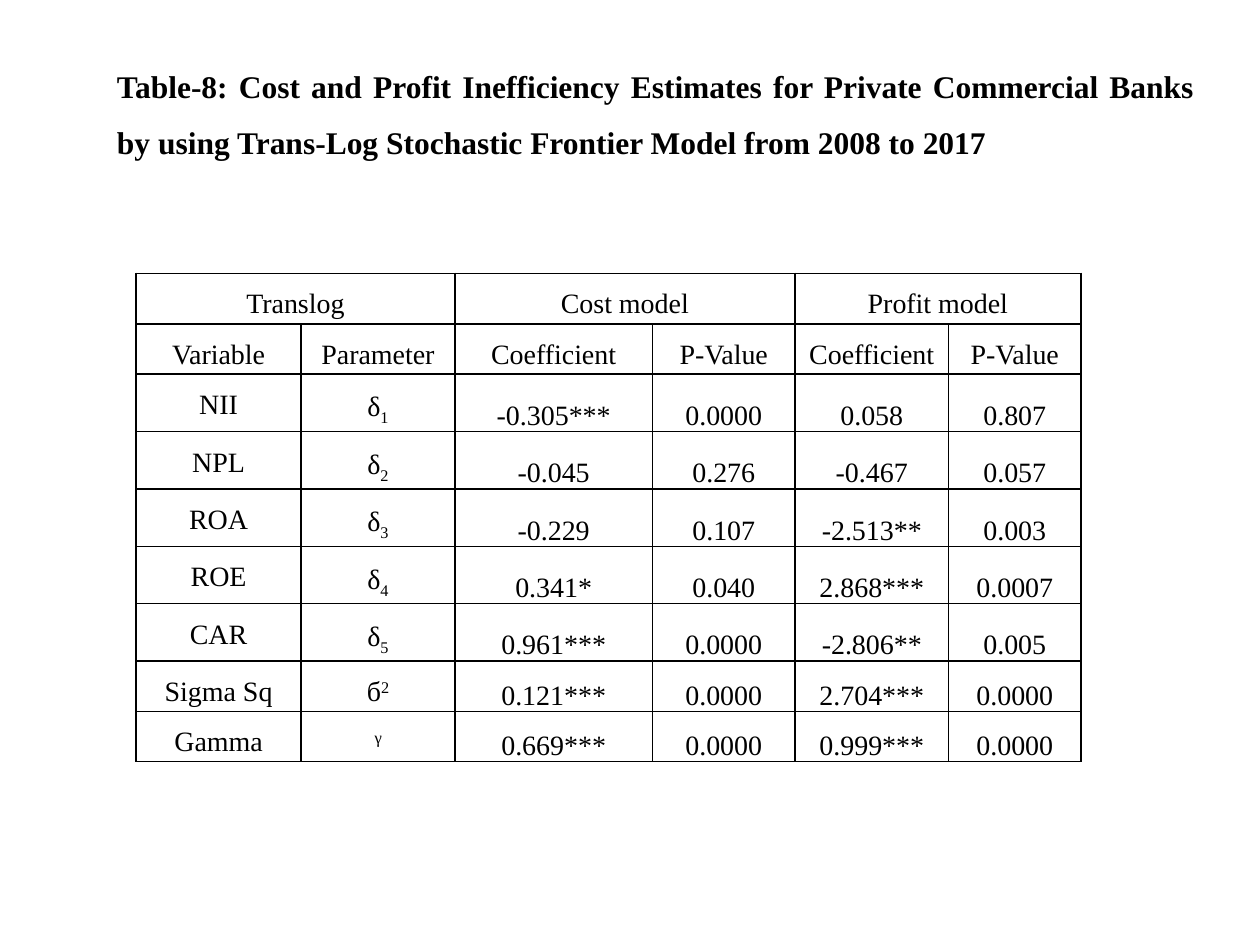
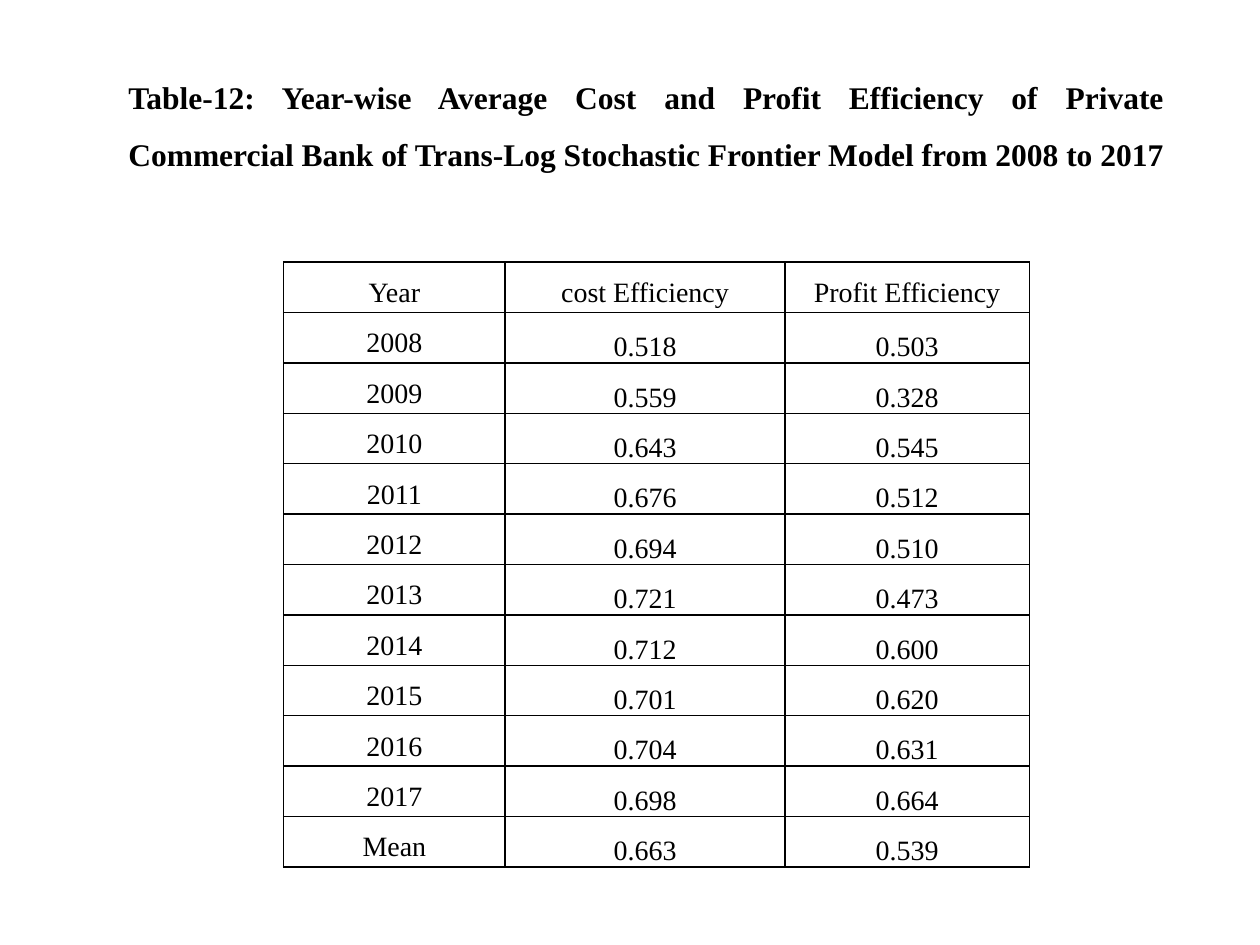
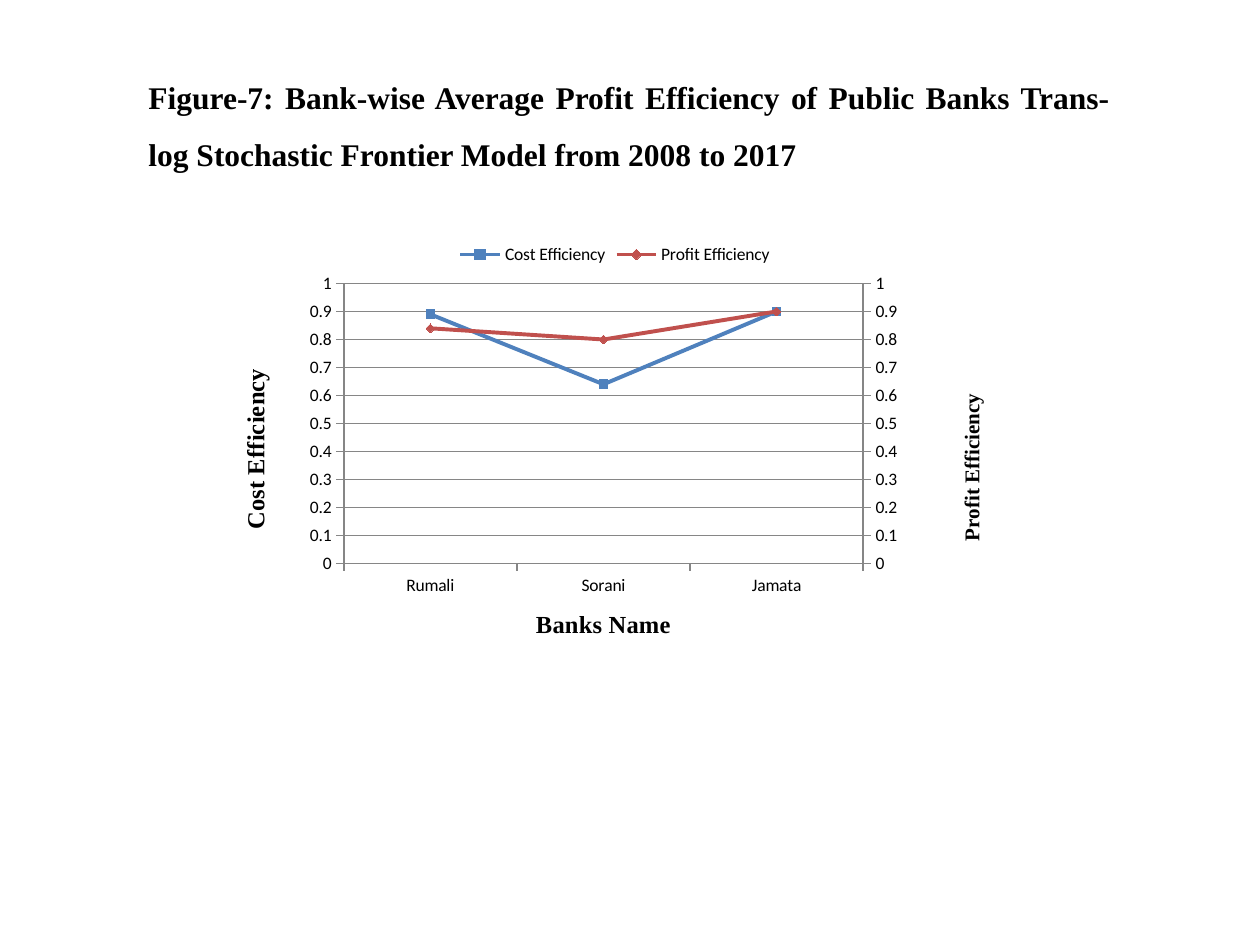
from copy import deepcopy
from dataclasses import dataclass

from lxml.etree import SubElement
from pptx import Presentation
from pptx.chart.axis import ValueAxis
from pptx.chart.data import CategoryChartData
from pptx.dml.color import RGBColor
from pptx.enum.chart import XL_CHART_TYPE as CT, XL_LEGEND_POSITION as LP
from pptx.enum.chart import XL_MARKER_STYLE as MS, XL_TICK_MARK as TM
from pptx.enum.text import MSO_ANCHOR as MA, MSO_AUTO_SIZE as AS, PP_ALIGN as PA
from pptx.oxml import parse_xml
from pptx.oxml.ns import nsdecls, qn
from pptx.util import Emu, Pt

PX = 9144


@dataclass(frozen=True)
class Theme:
    ink: str = "000000"
    paper: str = "FFFFFF"
    axis: str = "868686"
    cost: str = "4F81BD"
    profit: str = "C0504D"
    serif: str = "Times New Roman"
    sans: str = "Calibri"
    title: int = 18
    cell: int = 16
    axis_title: int = 14
    right_title: int = 12
    chart: int = 10


def px(n):
    return Emu(n * PX)


def rgb(value):
    return RGBColor.from_string(value)


def style_font(font, size, color, name, bold=False):
    font.size = Pt(size)
    font.name = name
    font.bold = bold
    font.color.rgb = rgb(color)


def write(p, text, *, size, color, name, bold=False, base=0):
    r = p.add_run()
    r.text = text
    style_font(r.font, size, color, name, bold)
    if base:
        r._r.get_or_add_rPr().set("baseline", str(base * 1000))


def set_layout(parent, **values):
    old = parent.find(qn("c:layout"))
    if old is not None:
        parent.remove(old)
    layout = parse_xml(f"<c:layout {nsdecls('c')}/>")
    manual = SubElement(layout, qn("c:manualLayout"))
    for tag, value in values.items():
        SubElement(manual, qn(f"c:{tag}")).set("val", str(value))
    text = parent.find(qn("c:tx"))
    parent.insert(0 if text is None else 1, layout)


class Deck:
    def __init__(self, theme):
        self.theme = theme
        self.prs = Presentation()
        self.prs.slide_width, self.prs.slide_height = px(1000), px(750)
        self.s = None

    def slide(self):
        self.s = self.prs.slides.add_slide(self.prs.slide_layouts[6])

    def paragraph(self, p, align):
        p.alignment = align
        p.line_spacing = 1.5
        p.space_after = Pt(10)

    def title(self, text, *box):
        t = self.theme
        tf = self.s.shapes.add_textbox(*map(px, box)).text_frame
        tf.word_wrap = True
        tf.auto_size = AS.SHAPE_TO_FIT_TEXT
        p = tf.paragraphs[0]
        self.paragraph(p, PA.JUSTIFY)
        write(p, text, size=t.title, color=t.ink, name=t.serif, bold=True)

    def cell(self, cell, content, anchor):
        t = self.theme
        cell.margin_left = cell.margin_right = px(7)
        cell.margin_top = cell.margin_bottom = 0
        cell.vertical_anchor = anchor
        tcPr = cell._tc.get_or_add_tcPr()
        for side in ("lnL", "lnR", "lnT", "lnB"):
            tcPr.append(parse_xml(
                f'<a:{side} {nsdecls("a")} w="12700"><a:solidFill>'
                f'<a:srgbClr val="{t.ink}"/></a:solidFill></a:{side}>'))
        cell.fill.solid()
        cell.fill.fore_color.rgb = rgb(t.paper)
        p = cell.text_frame.paragraphs[0]
        self.paragraph(p, PA.CENTER)
        text, mark, base = content if isinstance(content, tuple) else (content, "", 0)
        style = dict(size=t.cell, color=t.ink, name=t.serif)
        if text:
            write(p, text, **style)
        if mark:
            write(p, mark, base=base, **style)

    def table(self, left, top, widths, rows, *, heads, labels, spans=()):
        height = 40 * len(rows)
        tbl = self.s.shapes.add_table(
            len(rows), len(widths), px(left), px(top), px(sum(widths)), px(height)).table
        tbl.first_row = tbl.horz_banding = False
        for col, width in zip(tbl.columns, widths):
            col.width = px(width)
        for i, row in enumerate(rows):
            tbl.rows[i].height = px(40)
            for j, content in enumerate(row):
                anchor = MA.TOP if i < heads or j < labels else MA.BOTTOM
                self.cell(tbl.cell(i, j), content, anchor)
        for first, last in spans:
            tbl.cell(0, first).merge(tbl.cell(0, last))

    def axis(self, axis):
        axis.major_tick_mark, axis.minor_tick_mark = TM.OUTSIDE, TM.NONE
        axis.format.line.color.rgb = rgb(self.theme.axis)
        axis.format.line.width = Pt(0.75)

    def axis_title(self, axis, text, size, **place):
        t = self.theme
        title = axis.axis_title
        write(title.text_frame.paragraphs[0], text, size=size,
              color=t.ink, name=t.serif, bold=True)
        if place:
            set_layout(title._element, xMode="edge", yMode="edge", **place)

    def right_axis(self, chart):
        area = chart._chartSpace.chart.plotArea
        left_plot = area.find(qn("c:lineChart"))
        cat, val = area.find(qn("c:catAx")), area.find(qn("c:valAx"))
        right_plot, right_cat, right_val = map(deepcopy, (left_plot, cat, val))
        left_plot.remove(left_plot.findall(qn("c:ser"))[1])
        right_plot.remove(right_plot.findall(qn("c:ser"))[0])
        left_plot.addnext(right_plot)
        val.addnext(right_val)
        right_val.addnext(right_cat)
        ids = ("50010", "50020")
        for node, value in zip(right_plot.findall(qn("c:axId")), ids):
            node.set("val", value)
        for node, own, other in ((right_cat, *ids), (right_val, *ids[::-1])):
            node.find(qn("c:axId")).set("val", own)
            node.find(qn("c:crossAx")).set("val", other)
        right_cat.find(qn("c:delete")).set("val", "1")
        right_val.find(qn("c:axPos")).set("val", "r")
        right_val.find(qn("c:crosses")).set("val", "max")
        axis = ValueAxis(right_val)
        axis.has_major_gridlines = False
        return axis

    def line_chart(self, box, cats, series, titles):
        t = self.theme
        data = CategoryChartData()
        data.categories = cats
        for name, values, _, _ in series:
            data.add_series(name, values)
        chart = self.s.shapes.add_chart(CT.LINE_MARKERS, *map(px, box), data).chart
        style_font(chart.font, t.chart, t.ink, t.sans)
        chart.has_title = False
        chart.has_legend = True
        chart.legend.position = LP.TOP
        chart.legend.include_in_layout = False
        cat, val = chart.category_axis, chart.value_axis
        self.axis(cat)
        self.axis(val)
        val.minimum_scale, val.maximum_scale, val.major_unit = 0, 1, 0.1
        val.tick_labels.number_format = "General"
        val.tick_labels.number_format_is_linked = False
        val.has_major_gridlines = True
        val.major_gridlines.format.line.color.rgb = rgb(t.axis)
        val.major_gridlines.format.line.width = Pt(0.75)
        right = self.right_axis(chart)
        bottom_text, left_text, right_text = titles
        self.axis_title(cat, bottom_text, t.axis_title)
        self.axis_title(val, left_text, t.axis_title, x=0.03, y=0.31)
        self.axis_title(right, right_text, t.right_title, x=0.92, y=0.37)
        set_layout(chart._chartSpace.chart.plotArea, layoutTarget="inner",
                   xMode="edge", yMode="edge", x=0.165, y=0.123, w=0.642, h=0.65)
        for plot, (_, _, color, marker) in zip(chart.plots, series):
            plot.vary_by_categories = False
            ser = plot.series[0]
            ser.smooth = False
            ser.format.line.color.rgb = rgb(color)
            ser.format.line.width = Pt(2.25)
            ser.marker.style, ser.marker.size = marker, 5
            ser.marker.format.fill.solid()
            ser.marker.format.fill.fore_color.rgb = rgb(color)
            ser.marker.format.line.color.rgb = rgb(color)


def delta(n):
    return "δ", str(n), -25


def inefficiency_slide(deck):
    deck.slide()
    deck.title("Table-8: Cost and Profit Inefficiency Estimates for Private Commercial "
               "Banks by using Trans-Log Stochastic Frontier Model from 2008 to 2017",
               83, 33, 875, 101)
    rows = [
        ("Translog", "", "Cost model", "", "Profit model", ""),
        ("Variable", "Parameter") + ("Coefficient", "P-Value") * 2,
        ("NII", delta(1), "-0.305***", "0.0000", "0.058", "0.807"),
        ("NPL", delta(2), "-0.045", "0.276", "-0.467", "0.057"),
        ("ROA", delta(3), "-0.229", "0.107", "-2.513**", "0.003"),
        ("ROE", delta(4), "0.341*", "0.040", "2.868***", "0.0007"),
        ("CAR", delta(5), "0.961***", "0.0000", "-2.806**", "0.005"),
        ("Sigma Sq", ("б", "2", 30), "0.121***", "0.0000", "2.704***", "0.0000"),
        ("Gamma", "ᵞ", "0.669***", "0.0000", "0.999***", "0.0000"),
    ]
    deck.table(108, 217, (131, 122, 157, 113, 122, 105), rows,
               heads=2, labels=2, spans=((0, 1), (2, 3), (4, 5)))


def yearly_slide(deck):
    deck.slide()
    deck.title("Table-12: Year-wise Average Cost and Profit Efficiency of Private "
               "Commercial Bank of Trans-Log Stochastic Frontier Model from 2008 to 2017",
               92, 42, 842, 142)
    cost = ("0.518", "0.559", "0.643", "0.676", "0.694", "0.721",
            "0.712", "0.701", "0.704", "0.698", "0.663")
    profit = ("0.503", "0.328", "0.545", "0.512", "0.510", "0.473",
              "0.600", "0.620", "0.631", "0.664", "0.539")
    years = [str(year) for year in range(2008, 2018)] + ["Mean"]
    rows = [("Year", "cost Efficiency", "Profit Efficiency"), *zip(years, cost, profit)]
    deck.table(225, 208, (176, 222, 194), rows, heads=1, labels=1)


def bank_slide(deck):
    t = deck.theme
    deck.slide()
    deck.title("Figure-7: Bank-wise Average Profit Efficiency of Public Banks Trans-log "
               "Stochastic Frontier Model from 2008 to 2017", 108, 42, 783, 96)
    series = (("Cost Efficiency", (0.89, 0.64, 0.9), t.cost, MS.SQUARE),
              ("Profit Efficiency", (0.84, 0.8, 0.9), t.profit, MS.DIAMOND))
    deck.line_chart((167, 183, 642, 342), ("Rumali", "Sorani", "Jamata"), series,
                    ("Banks Name", "Cost Efficiency", "Profit Efficiency"))


def main():
    deck = Deck(Theme())
    inefficiency_slide(deck)
    yearly_slide(deck)
    bank_slide(deck)
    deck.prs.save("out.pptx")


if __name__ == "__main__":
    main()
